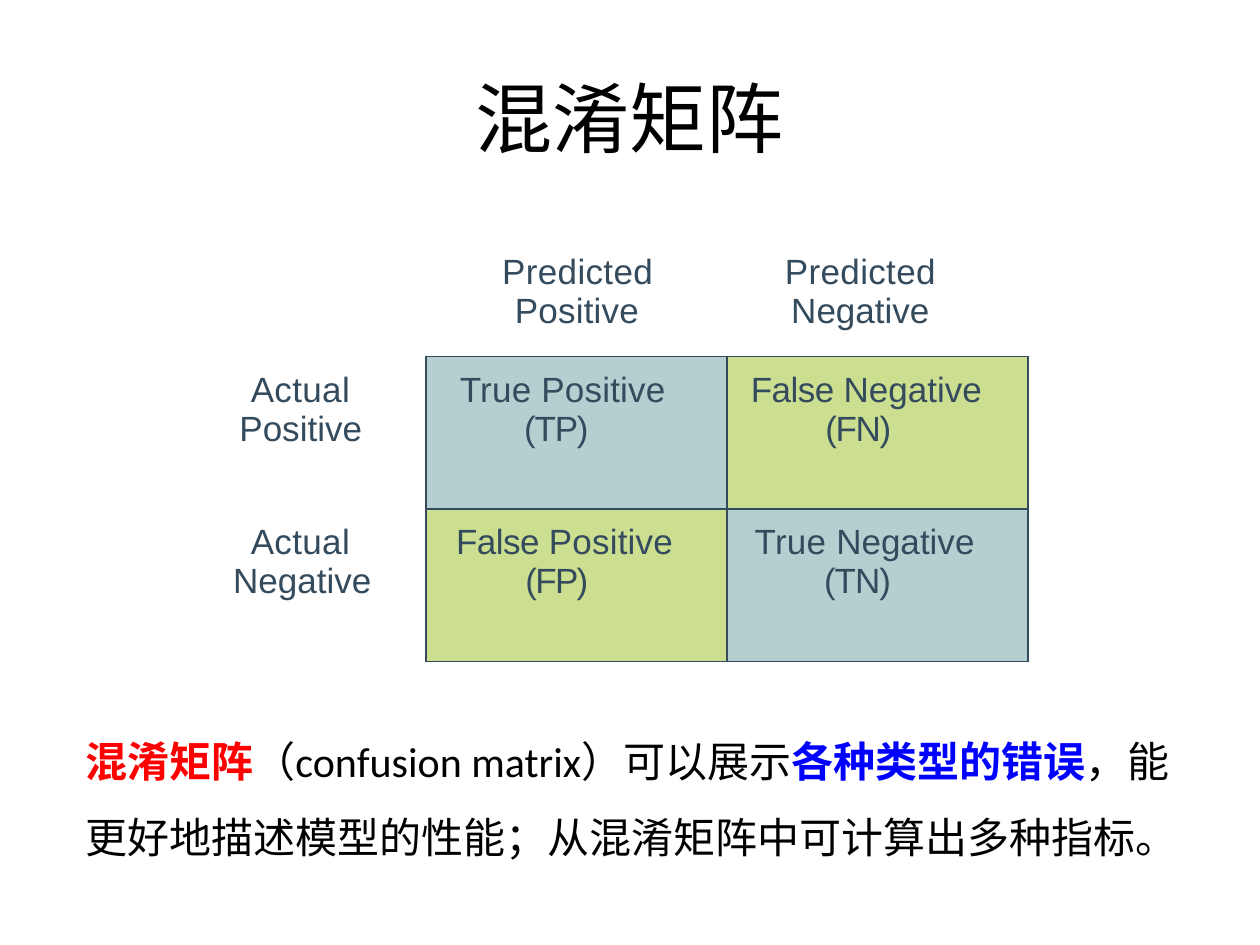
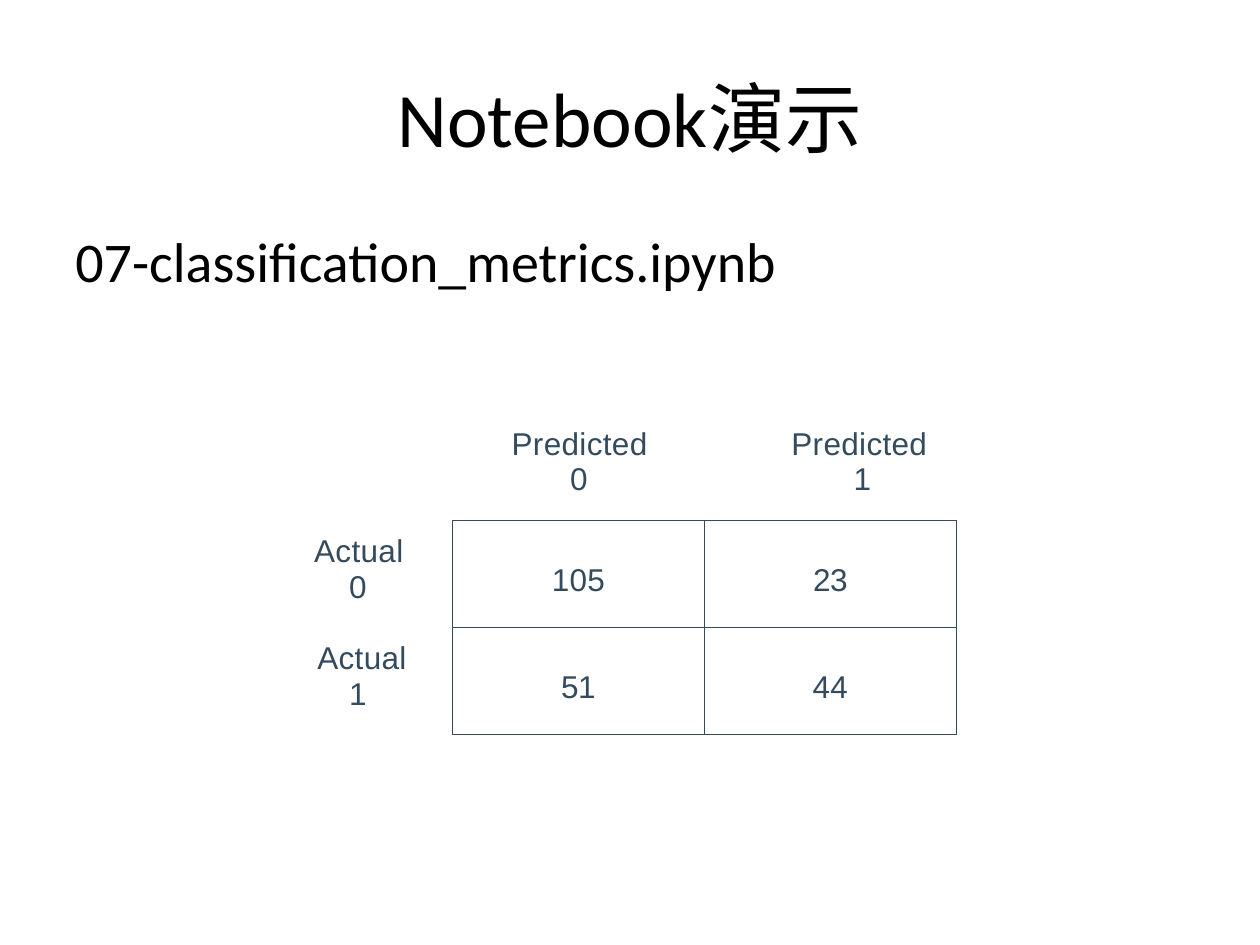
from dataclasses import dataclass
from typing import Any

from lxml import etree
from pptx import Presentation
from pptx.dml.color import RGBColor
from pptx.enum.text import MSO_ANCHOR, PP_ALIGN
from pptx.oxml.ns import qn
from pptx.util import Inches, Pt

LEFT, CENTER = PP_ALIGN.LEFT, PP_ALIGN.CENTER
TOP, MIDDLE = MSO_ANCHOR.TOP, MSO_ANCHOR.MIDDLE
COLORS = {
    "white": "FFFFFF", "black": "000000", "slate": "344B5E", "teal": "B5CED0",
    "lime": "CCDF91", "red": "FF0000", "blue": "0000FF",
}
NEIGHBOURS = {"lnL": (0, -1), "lnR": (0, 1), "lnT": (-1, 0), "lnB": (1, 0)}


@dataclass(frozen=True)
class Run:
    text: str
    spacing: float = 0
    color: str = "black"
    bold: bool = False
    new_line: bool = False


@dataclass(frozen=True)
class Line:
    runs: tuple[Run, ...]
    left: float = 0
    indent: float = 0
    right: float = 0
    align: PP_ALIGN = LEFT


@dataclass(frozen=True)
class Entry:
    lines: tuple[Line, ...] = ()
    fill: str = ""
    anchor: MSO_ANCHOR = TOP


@dataclass(frozen=True)
class Matrix:
    left: float
    top: float
    columns: tuple[float, ...]
    rows: tuple[float, ...]
    size: float
    entries: tuple[tuple[Entry, ...], ...]


def rgb(name: str) -> RGBColor:
    return RGBColor.from_string(COLORS[name])


def apply(target: Any, values: dict[str, Any]) -> None:
    for name, value in values.items():
        setattr(target, name, value)


def add_run(paragraph: Any, run: Run, size: float, font: str, color: str) -> None:
    if run.new_line:
        paragraph.add_line_break()
    piece = paragraph.add_run()
    piece.text = run.text
    apply(piece.font, {"name": font, "size": Pt(size), "bold": run.bold})
    piece.font.color.rgb = rgb(color)
    if run.spacing:
        piece.font._element.set("spc", str(round(run.spacing * 100)))


def add_text(slide: Any, box: tuple[float, ...], runs: tuple[Run, ...], size: float,
             **formats: Any) -> Any:
    """Add a wrapped one-paragraph text box and return its frame."""
    frame = slide.shapes.add_textbox(*map(Inches, box)).text_frame
    frame.word_wrap = True
    paragraph = frame.paragraphs[0]
    apply(paragraph, formats)
    for run in runs:
        add_run(paragraph, run, size, "Calibri", run.color)
    return frame


def add_title(slide: Any, title: str) -> None:
    frame = add_text(slide, (0.5, 0.3, 9, 1.25), (Run(title),), 44, alignment=CENTER)
    frame.vertical_anchor = MIDDLE


def is_value(row: int, column: int) -> bool:
    return row in (1, 2) and column in (1, 2)


def set_borders(cell: Any, row: int, column: int) -> None:
    """Rule slate lines around value cells and white lines elsewhere."""
    properties = cell._tc.get_or_add_tcPr()
    for position, (side, (down, across)) in enumerate(NEIGHBOURS.items()):
        inked = is_value(row, column) or is_value(row + down, column + across)
        border = etree.Element(qn(f"a:{side}"), w=str(Pt(1)))
        fill = etree.SubElement(border, qn("a:solidFill"))
        etree.SubElement(fill, qn("a:srgbClr"), val=COLORS["slate" if inked else "white"])
        properties.insert(position, border)


def fill_entry(cell: Any, entry: Entry, size: float) -> None:
    apply(cell, {"margin_left": 0, "margin_top": Inches(0.11), "margin_right": 0,
                 "margin_bottom": 0, "vertical_anchor": entry.anchor})
    if entry.fill:
        cell.fill.solid()
        cell.fill.fore_color.rgb = rgb(entry.fill)
    else:
        cell.fill.background()
    frame = cell.text_frame
    for number, line in enumerate(entry.lines):
        paragraph = frame.add_paragraph() if number else frame.paragraphs[0]
        paragraph.alignment = line.align
        if number == 0:
            paragraph.space_before = Pt(7.7)
        insets = {"marL": line.left, "marR": line.right, "indent": line.indent}
        for name, inches in insets.items():
            paragraph._p.get_or_add_pPr().set(name, str(Inches(inches)))
        for run in line.runs:
            add_run(paragraph, run, size, "Arial", "slate")


def add_matrix(slide: Any, matrix: Matrix) -> None:
    frame = slide.shapes.add_table(
        len(matrix.rows), len(matrix.columns), Inches(matrix.left), Inches(matrix.top),
        Inches(sum(matrix.columns)), Inches(sum(matrix.rows)))
    table = frame.table
    apply(table, {"first_row": False, "horz_banding": False})
    for column, width in zip(table.columns, matrix.columns):
        column.width = Inches(width)
    for row, height in zip(table.rows, matrix.rows):
        row.height = Inches(height)
    for row, entries in enumerate(matrix.entries):
        for column, entry in enumerate(entries):
            cell = table.cell(row, column)
            fill_entry(cell, entry, matrix.size)
            set_borders(cell, row, column)


def predicted(label: str, spacing: float, lefts: tuple[float, float],
              align: PP_ALIGN = CENTER) -> Entry:
    return Entry((Line((Run("Predicted", 0.2),), lefts[0], align=align),
                  Line((Run(label, spacing),), lefts[1], align=align)))


def actual(label: str, left: float, indent: float, align: PP_ALIGN = LEFT) -> Entry:
    runs = (Run("Actual ", 0.2), Run(label, new_line=True))
    return Entry((Line(runs, left, indent, left, align),))


def outcome(truth: Run, sign: Run, code: str, code_spacing: float,
            left: float, indent: float) -> Entry:
    runs = (truth, sign, Run(code, code_spacing, new_line=True))
    return Entry((Line(runs, left, indent),), "teal" if truth.text == "True " else "lime")


def count(value: int, spacing: float) -> Entry:
    return Entry((Line((Run(str(value), spacing),), align=CENTER),), "white", MIDDLE)


TRUE, FALSE = Run("True ", 0.1), Run("False ", -0.3)
POSITIVE, NEGATIVE = Run("Positive ", 0.1), Run("Negative ")
OUTCOMES = Matrix(1.59, 1.9, (1.79, 2.39, 2.39), (0.93, 1.21, 1.21), 20, (
    (Entry(), predicted("Positive", 0.1, (0.02, 0.01)),
     predicted("Negative", 0, (0.46, 0.51), LEFT)),
    (actual("Positive", 0.31, 0.09),
     outcome(TRUE, POSITIVE, "(TP)", -0.7, 0.78, -0.51),
     outcome(FALSE, NEGATIVE, "(FN)", -0.8, 0.78, -0.59)),
    (actual("Negative", 0.26, 0.14),
     outcome(FALSE, POSITIVE, "(FP)", -1, 0.79, -0.55),
     outcome(TRUE, NEGATIVE, "(TN)", -0.6, 0.77, -0.55)),
))
COUNTS = Matrix(2.09, 3.28, (1.5, 2, 2), (0.85,) * 3, 18, (
    (Entry(), predicted("0", 0.1, (0.02, 0.01)), predicted("1", 0, (0.46, 0.51))),
    (actual("0", 0.31, 0.09, CENTER), count(105, 0.1), count(23, -0.3)),
    (actual("1", 0.26, 0.14, CENTER), count(51, -0.3), count(44, 0.1)),
))
EXPLANATION = (
    Run("混淆矩阵", color="red", bold=True),
    Run("（confusion matrix）可以展示"),
    Run("各种类型的错误", color="blue", bold=True),
    Run("，能更好地描述模型的性能；从混淆矩阵中可计算出多种指标。"),
)


def main() -> None:
    deck = Presentation()
    apply(deck, {"slide_width": Inches(10), "slide_height": Inches(7.5)})
    blank = deck.slide_layouts[6]

    concept = deck.slides.add_slide(blank)
    add_matrix(concept, OUTCOMES)
    add_title(concept, "混淆矩阵")
    add_text(concept, (0.58, 5.59, 8.83, 1.24), EXPLANATION, 24, line_spacing=1.5)

    demo = deck.slides.add_slide(blank)
    add_title(demo, "Notebook演示")
    add_text(demo, (0.5, 1.75, 9, 4.95), (Run("07-classification_metrics.ipynb"),), 32)
    add_matrix(demo, COUNTS)

    deck.save("out.pptx")


if __name__ == "__main__":
    main()
